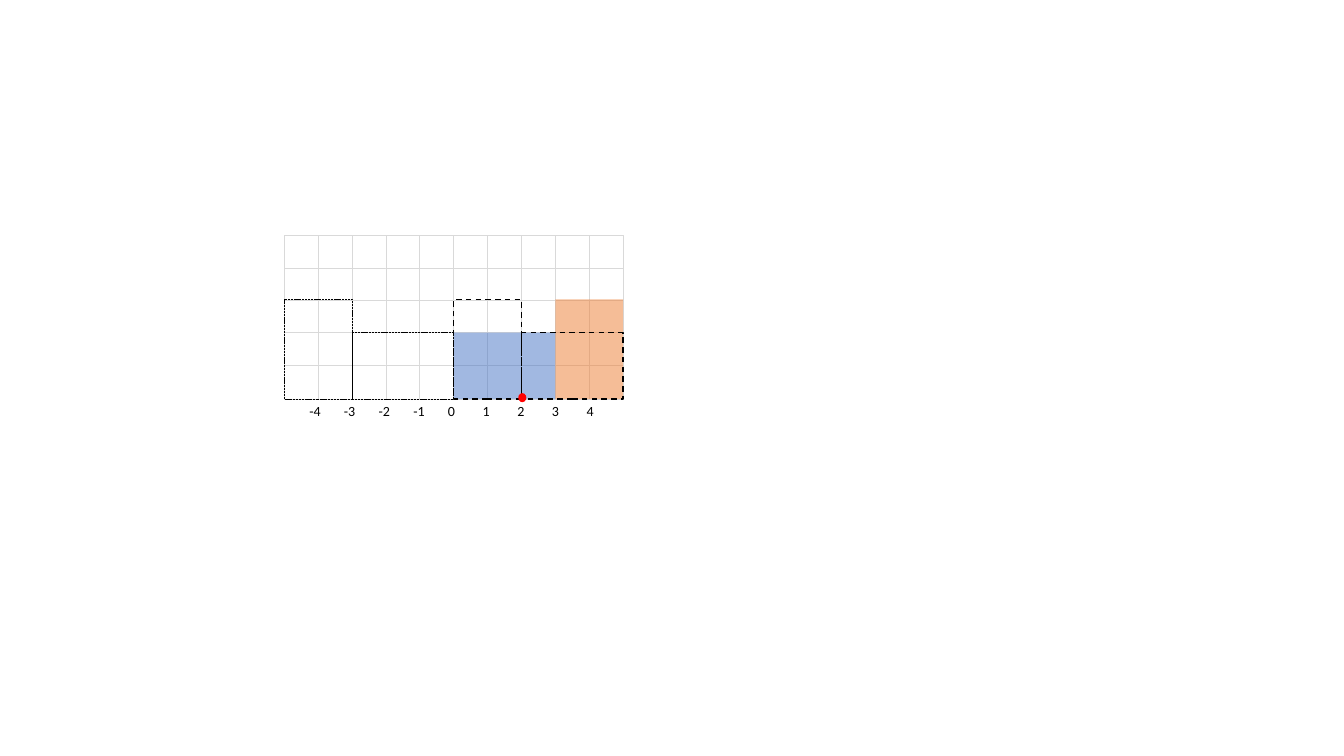
from itertools import product

from pptx import Presentation
from pptx.dml.color import RGBColor
from pptx.enum.dml import MSO_LINE_DASH_STYLE as Dash
from pptx.enum.shapes import MSO_SHAPE as Shape
from pptx.enum.text import MSO_AUTO_SIZE as AutoSize
from pptx.oxml.ns import qn
from pptx.util import Inches, Pt

deck = Presentation()
deck.slide_width, deck.slide_height = Inches(13.33), Inches(7.5)
page = deck.slides.add_slide(deck.slide_layouts[6])
diagram = page.shapes.add_group_shape().shapes

columns, rows = 10, 5
grid_left, grid_top, grid_width, baseline = 2.82, 2.34, 3.36, 3.96
column = grid_width / columns
row_step, cell_height, unit_height = 0.32, 0.34, 0.33


def color(hex_string):
    return RGBColor.from_string(hex_string)


def add_box(kind, left, top, width, height, fill=None, alpha=None, line=None, weight=0.5, dash=None):
    box = diagram.add_shape(kind, Inches(left), Inches(top), Inches(width), Inches(height))
    box.shadow.inherit = False
    if fill:
        box.fill.solid()
        box.fill.fore_color.rgb = color(fill)
    else:
        box.fill.background()
    if alpha:
        tint = box.fill._xPr.find(".//" + qn("a:srgbClr"))
        tint.makeelement(qn("a:alpha"))
        tint.append(tint.makeelement(qn("a:alpha"), {"val": str(alpha * 1000)}))
    if line:
        box.line.color.rgb = color(line)
        for name, value in {"width": Pt(weight), "dash_style": dash}.items():
            setattr(box.line, name, value)
    else:
        box.line.fill.background()


for row, place in product(range(rows), range(columns)):
    add_box(Shape.RECTANGLE, grid_left + place * column, grid_top + row * row_step,
            column, cell_height, fill="FFFFFF", line="D9D9D9")

blue = {"fill": "4472C4", "alpha": 50}
orange = {"fill": "ED7D31", "alpha": 50}
dotted = {"line": "000000", "dash": Dash.SQUARE_DOT}
dashed = {"line": "000000", "weight": 1, "dash": Dash.DASH}
blocks = [
    (0, 3, 2, blue), (3, 2, 3, orange),
    (-3, 3, 2, dotted), (-5, 2, 3, dotted),
    (2, 3, 2, dashed), (0, 2, 3, dashed),
]
for start, span, units, style in blocks:
    add_box(Shape.RECTANGLE, grid_left + (start + columns / 2) * column,
            baseline - units * unit_height, span * column, units * unit_height, **style)

label_left, label_step = 2.97, 2.75 / 8
for index, number in enumerate(range(-4, 5)):
    label = diagram.add_textbox(Inches(label_left + index * label_step), Inches(3.94),
                                Inches(0.33), Inches(0.27))
    for name, value in {"word_wrap": True, "auto_size": AutoSize.SHAPE_TO_FIT_TEXT}.items():
        setattr(label.text_frame, name, value)
    span = label.text_frame.paragraphs[0].add_run()
    span.text = str(number)
    for name, value in {"name": "Calibri", "size": Pt(10)}.items():
        setattr(span.font, name, value)
    span.font.color.rgb = color("000000")

add_box(Shape.OVAL, 5.14, 3.9, 0.08, 0.09, fill="FF0000")

deck.save("out.pptx")
